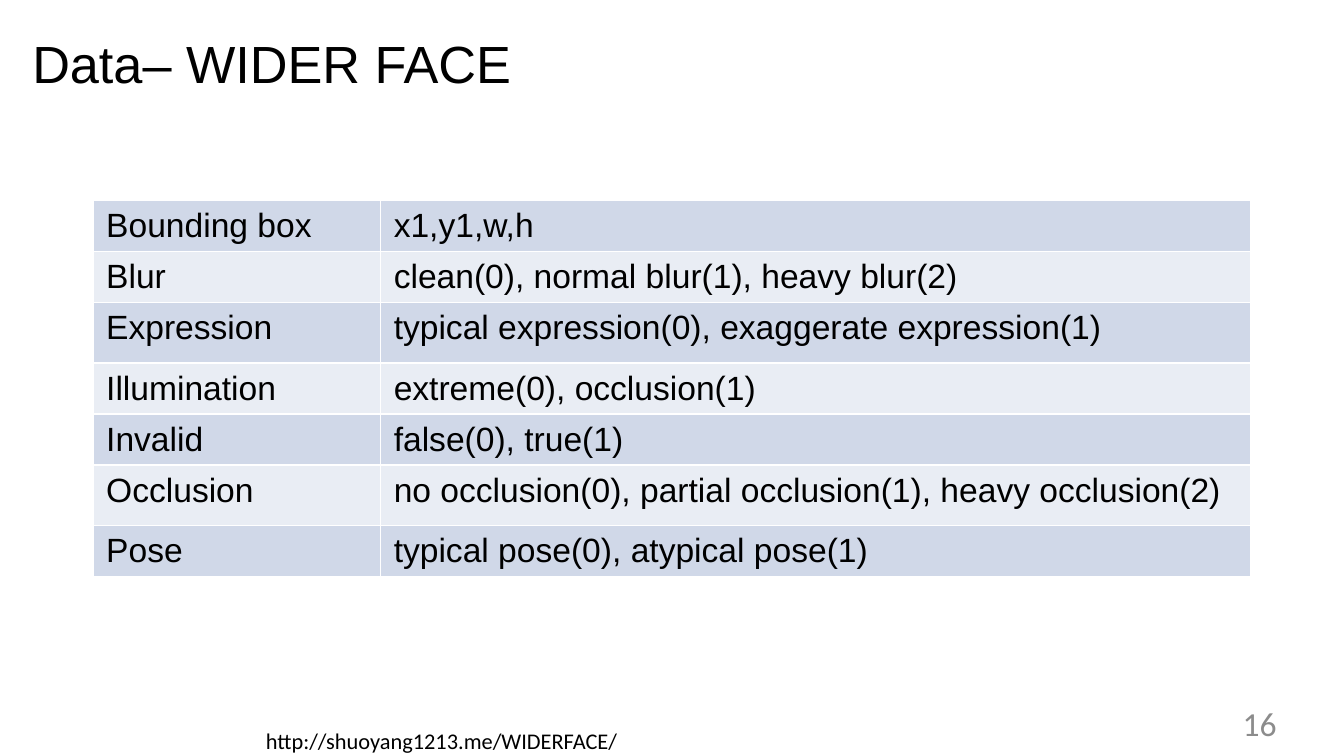
from dataclasses import dataclass

from lxml.etree import SubElement
from pptx import Presentation
from pptx.dml.color import RGBColor
from pptx.enum.text import PP_ALIGN
from pptx.oxml.ns import qn
from pptx.util import Inches, Pt


@dataclass(frozen=True)
class Theme:
    ink: str = "000000"
    muted: str = "8C8C8C"
    border: str = "FFFFFF"
    bands: tuple = ("D0D8E8", "E9EDF4")
    body_font: str = "Arial"
    footer_font: str = "Calibri"
    title_size: int = 28
    body_size: int = 18
    source_size: int = 12


THEME = Theme()

ANNOTATIONS = [
    ("Bounding box", "x1,y1,w,h", 0.35),
    ("Blur", "clean(0), normal blur(1), heavy blur(2)", 0.35),
    ("Expression", "typical expression(0), exaggerate expression(1)", 0.45),
    ("Illumination", "extreme(0), occlusion(1)", 0.35),
    ("Invalid", "false(0), true(1)", 0.35),
    ("Occlusion", "no occlusion(0), partial occlusion(1), heavy occlusion(2)", 0.45),
    ("Pose", "typical pose(0), atypical pose(1)", 0.35),
]


def style_text(paragraph, font_name, size, color):
    for run in paragraph.runs:
        run.font.name = font_name
        run.font.size = Pt(size)
        run.font.color.rgb = RGBColor.from_string(color)


def add_label(slide, box, text, font_name, size, color,
              insets=(0.1, 0.05, 0.1, 0.05), align=PP_ALIGN.LEFT):
    frame = slide.shapes.add_textbox(*map(Inches, box)).text_frame
    frame.word_wrap = True
    (frame.margin_left, frame.margin_top,
     frame.margin_right, frame.margin_bottom) = map(Inches, insets)
    frame.text = text
    paragraph = frame.paragraphs[0]
    paragraph.alignment = align
    style_text(paragraph, font_name, size, color)


def add_borders(cell):
    properties = cell._tc.get_or_add_tcPr()
    for position, side in enumerate(("a:lnL", "a:lnR", "a:lnT", "a:lnB")):
        line = SubElement(properties, qn(side), w=str(Pt(1)))
        fill = SubElement(line, qn("a:solidFill"))
        SubElement(fill, qn("a:srgbClr"), val=THEME.border)
        properties.insert(position, line)


def add_annotation_table(slide, box, label_width):
    left, top, width, height = box
    table_frame = slide.shapes.add_table(
        len(ANNOTATIONS), 2, *map(Inches, box))
    table = table_frame.table
    table.first_row = False
    table.columns[0].width = Inches(label_width)
    table.columns[1].width = Inches(width - label_width)
    for index, (attribute, values, row_height) in enumerate(ANNOTATIONS):
        table.rows[index].height = Inches(row_height)
        band = THEME.bands[index % len(THEME.bands)]
        for column, text in enumerate((attribute, values)):
            cell = table.cell(index, column)
            cell.text_frame.text = text
            style_text(cell.text_frame.paragraphs[0],
                       THEME.body_font, THEME.body_size, THEME.ink)
            cell.fill.solid()
            cell.fill.fore_color.rgb = RGBColor.from_string(band)
            add_borders(cell)
    table_frame.height = Inches(height)


def add_title(slide, box):
    add_label(slide, box, "Data– WIDER FACE", THEME.body_font,
              THEME.title_size, THEME.ink, insets=(0.02, 0.02, 0, 0))


def add_footer(slide, box):
    left, top, width, height = box
    source_height = 0.3
    add_label(slide, (left, top + height - source_height, 2.84, source_height),
              "http://shuoyang1213.me/WIDERFACE/",
              THEME.footer_font, THEME.source_size, THEME.ink)
    number_width = 2.3
    add_label(slide, (left + width - number_width, top, number_width, 0.28),
              "16", THEME.footer_font, THEME.body_size, THEME.muted,
              insets=(0, 0, 0, 0), align=PP_ALIGN.RIGHT)


def main():
    presentation = Presentation()
    presentation.slide_width = Inches(10)
    presentation.slide_height = presentation.slide_width * 9 // 16
    slide = presentation.slides.add_slide(presentation.slide_layouts[6])
    add_annotation_table(slide, (0.69, 1.49, 8.62, 2.9), label_width=2.14)
    add_footer(slide, (1.88, 5.23, 7.62, 0.43))
    add_title(slide, (0.22, 0.21, 8.62, 0.49))
    presentation.save("out.pptx")


if __name__ == "__main__":
    main()
